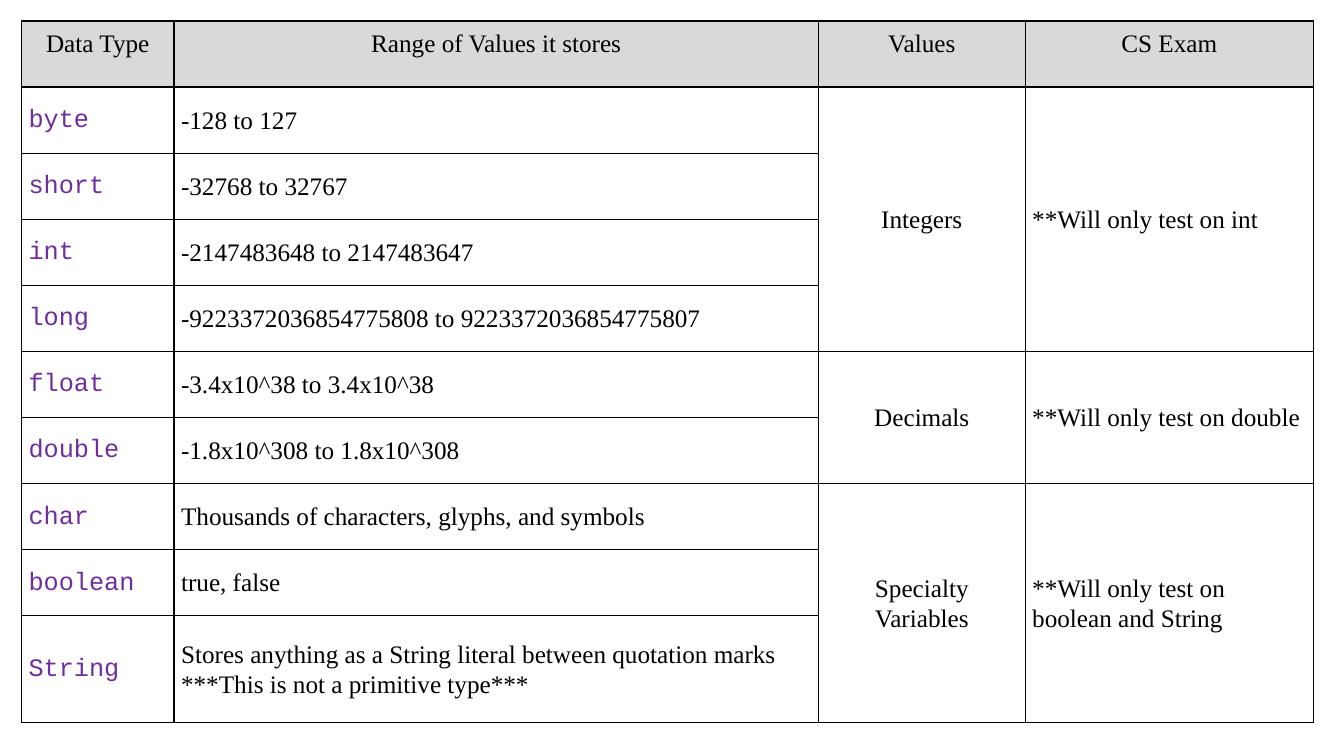
from lxml.etree import SubElement
from pptx import Presentation
from pptx.dml.color import RGBColor
from pptx.enum.text import MSO_ANCHOR, PP_ALIGN
from pptx.oxml.ns import qn
from pptx.util import Inches, Pt

SERIF, MONO = "Times New Roman", "Courier New"
BLACK, WHITE, GREY, PURPLE = "000000", "FFFFFF", "D9D9D9", "6E2F9D"


def colour(value):
    return RGBColor.from_string(value)


def write(frame, text, font=SERIF, size=18, color=BLACK, align=PP_ALIGN.LEFT):
    """Fill a text frame, one paragraph for each line of text."""
    for number, line in enumerate(text.split("\n")):
        paragraph = frame.add_paragraph() if number else frame.paragraphs[0]
        paragraph.alignment = align
        paragraph.line_spacing = 1.07
        run = paragraph.add_run()
        run.text = line
        run.font.name = font
        run.font.size = Pt(size)
        run.font.color.rgb = colour(color)


class SlideBuilder:
    """Holds the style and the slide; lengths are percentages of the slide."""
    margin = Inches(0.07)
    border = Pt(1)

    def __init__(self, presentation):
        self.width = presentation.slide_width
        self.height = presentation.slide_height
        self.slide = presentation.slides.add_slide(presentation.slide_layouts[6])

    def across(self, share):
        return round(self.width * share / 100)

    def down(self, share):
        return round(self.height * share / 100)

    def table(self, left, top, widths, heights):
        grid = self.slide.shapes.add_table(
            len(heights), len(widths), self.across(left), self.down(top),
            self.across(sum(widths)), self.down(sum(heights))).table
        for column, width in zip(grid.columns, widths):
            column.width = self.across(width)
        for row, height in zip(grid.rows, heights):
            row.height = self.down(height)
        grid.horz_banding = False
        for cell in grid.iter_cells():
            self.outline(cell)
        return grid

    def outline(self, cell):
        properties = cell._tc.get_or_add_tcPr()
        for side in ("a:lnL", "a:lnR", "a:lnT", "a:lnB"):
            line = SubElement(properties, qn(side), w=str(self.border))
            SubElement(SubElement(line, qn("a:solidFill")), qn("a:srgbClr"), val=BLACK)
        cell.fill.solid()
        cell.fill.fore_color.rgb = colour(WHITE)

    def cell(self, cell, text, fill=WHITE, anchor=MSO_ANCHOR.MIDDLE, **text_format):
        cell.margin_left = cell.margin_right = self.margin
        cell.margin_top = cell.margin_bottom = self.margin
        cell.vertical_anchor = anchor
        cell.fill.fore_color.rgb = colour(fill)
        write(cell.text_frame, text, **text_format)


HEADINGS = ["Data Type", "Range of Values it stores", "Values", "CS Exam"]

# Each group: kind of value, exam note, then its types with their ranges
GROUPS = [
    ("Integers", "**Will only test on int", [
        ("byte", "-128 to 127"),
        ("short", "-32768 to 32767"),
        ("int", "-2147483648 to 2147483647"),
        ("long", "-9223372036854775808 to 9223372036854775807")]),
    ("Decimals", "**Will only test on double", [
        ("float", "-3.4x10^38 to 3.4x10^38"),
        ("double", "-1.8x10^308 to 1.8x10^308")]),
    ("Specialty Variables", "**Will only test on boolean and String", [
        ("char", "Thousands of characters, glyphs, and symbols"),
        ("boolean", "true, false"),
        ("String", "Stores anything as a String literal between quotation marks\n"
                   "***This is not a primitive type***")]),
]


def main():
    presentation = Presentation()
    presentation.slide_width = Inches(13.33)
    presentation.slide_height = Inches(7.5)
    builder = SlideBuilder(presentation)
    data_types = builder.table(1.6, 2.78, widths=[11.35, 47.95, 15.38, 21.46],
                               heights=[8.74] * 9 + [14.13])

    # Header row
    for column, heading in enumerate(HEADINGS):
        builder.cell(data_types.cell(0, column), heading, fill=GREY,
                     anchor=MSO_ANCHOR.TOP, align=PP_ALIGN.CENTER)

    # Types and ranges, with the merged cells of each group
    first = 1
    for values, exam_note, members in GROUPS:
        last = first + len(members) - 1
        for column in (2, 3):
            data_types.cell(first, column).merge(data_types.cell(last, column))
        builder.cell(data_types.cell(first, 2), values, align=PP_ALIGN.CENTER)
        builder.cell(data_types.cell(first, 3), exam_note)
        for row, (type_name, value_range) in enumerate(members, first):
            builder.cell(data_types.cell(row, 0), type_name, font=MONO, color=PURPLE)
            builder.cell(data_types.cell(row, 1), value_range)
        first = last + 1

    presentation.save("out.pptx")


if __name__ == "__main__":
    main()
